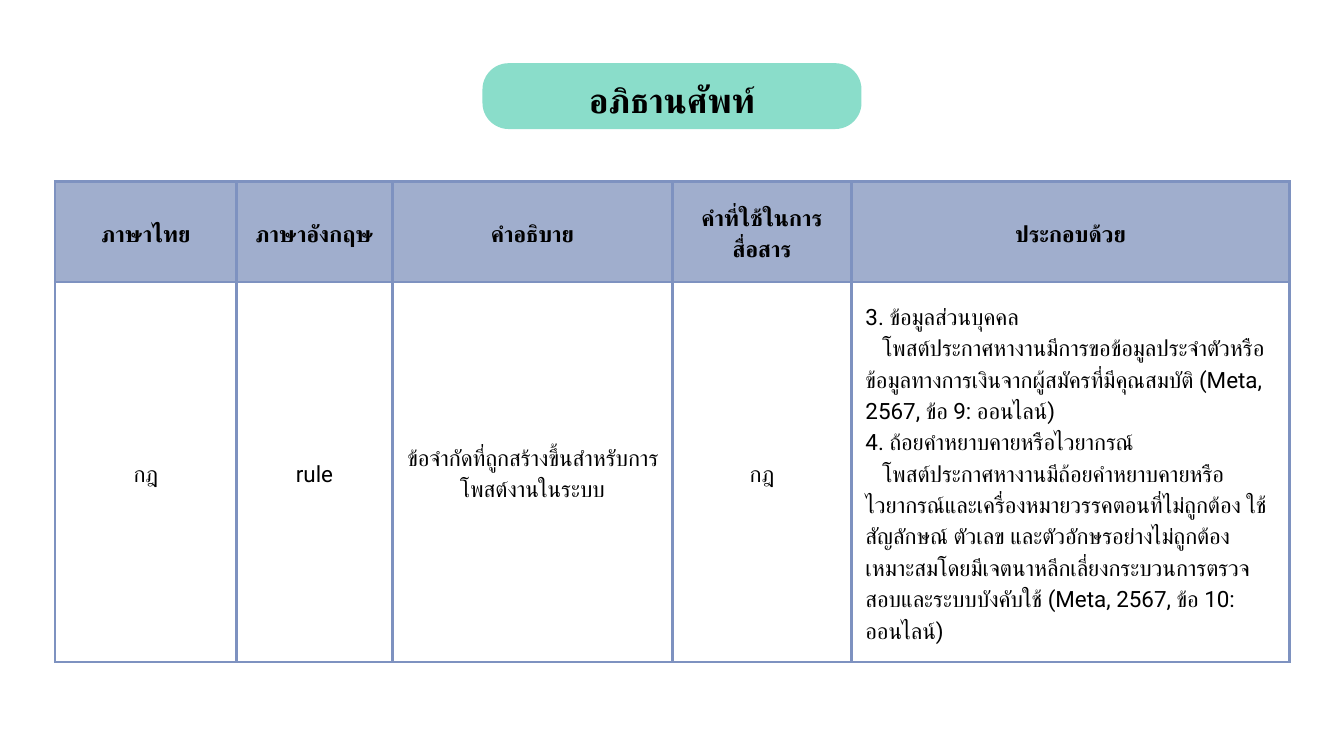
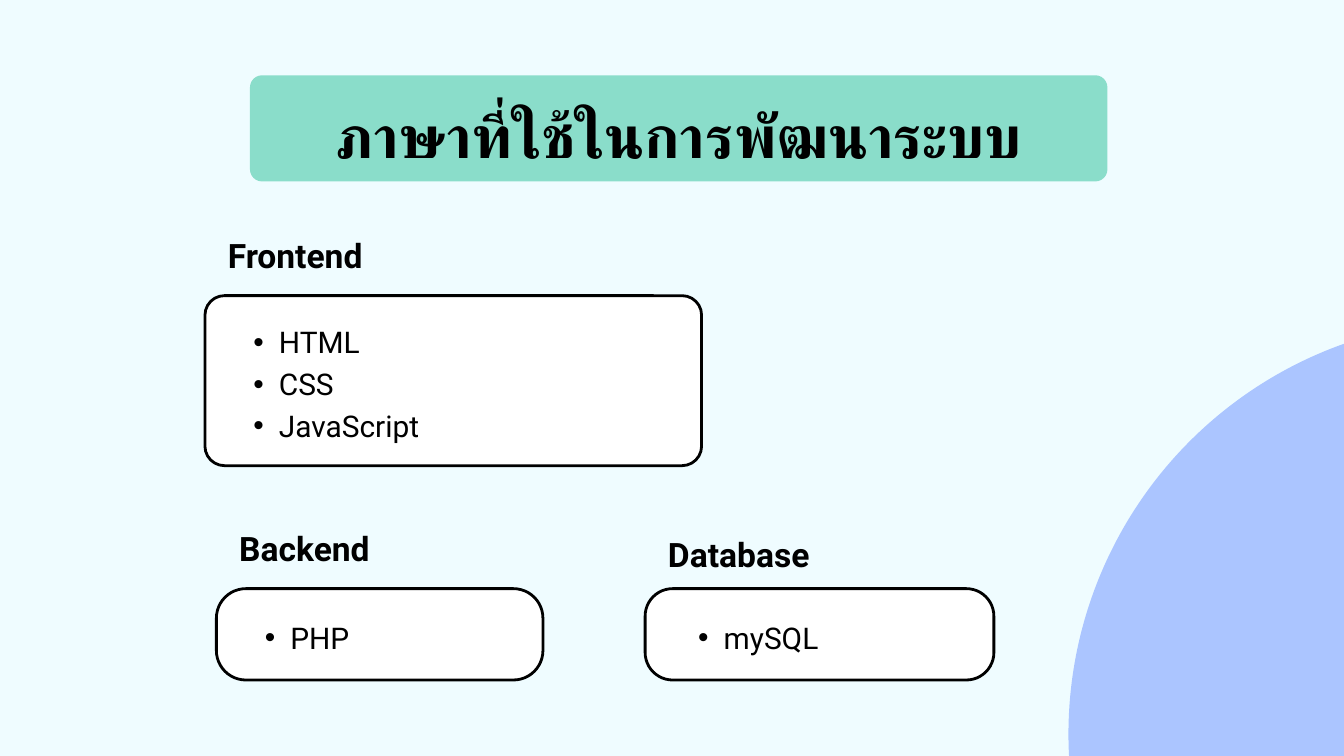
from dataclasses import dataclass

from lxml import etree
from pptx import Presentation
from pptx.dml.color import RGBColor
from pptx.enum.shapes import MSO_SHAPE
from pptx.enum.text import MSO_ANCHOR, PP_ALIGN
from pptx.oxml.ns import qn
from pptx.util import Inches, Pt

ROUNDED = MSO_SHAPE.ROUNDED_RECTANGLE
OVAL = MSO_SHAPE.OVAL
MIDDLE = MSO_ANCHOR.MIDDLE
LEFT, CENTER = PP_ALIGN.LEFT, PP_ALIGN.CENTER


@dataclass(frozen=True)
class TextStyle:
    size: float
    spacing: float
    bold: bool = False
    align: PP_ALIGN = LEFT


class Theme:
    font = "Roboto"
    ink = "000000"
    paper = "FFFFFF"
    pale_blue = "EFFCFF"
    band = "8ADDCA"
    header_fill = "A0AECD"
    grid = "7E92C0"
    circle = "ABC5FF"
    line_width = 3
    glossary_title = TextStyle(37, 51.7, True, CENTER)
    languages_title = TextStyle(64, 89.6, True, CENTER)
    table_header = TextStyle(24, 33.6, True, CENTER)
    table_body = TextStyle(24, 33.6, False, CENTER)
    table_detail = TextStyle(24, 33.6)
    panel_heading = TextStyle(36, 38.9, True)
    panel_item = TextStyle(32, 44.8)


@dataclass(frozen=True)
class Panel:
    heading: str
    items: tuple
    box: tuple
    radius: float
    heading_rise: float = 0.85
    list_inset: float = 0.34
    list_width: float = 3.87


HEADERS = ["ภาษาไทย", "ภาษาอังกฤษ", "คำอธิบาย", "คำที่ใช้ในการสื่อสาร", "ประกอบด้วย"]
TERM = ["กฎ", "rule", "ข้อจำกัดที่ถูกสร้างขึ้นสำหรับการโพสต์งานในระบบ", "กฎ"]
RULES = [
    ("3. ข้อมูลส่วนบุคคล",
     "โพสต์ประกาศหางานมีการขอข้อมูลประจำตัวหรือข้อมูลทางการเงินจากผู้สมัครที่มีคุณสมบัติ "
     "(Meta, 2567, ข้อ 9: ออนไลน์)"),
    ("4. ถ้อยคำหยาบคายหรือไวยากรณ์",
     "โพสต์ประกาศหางานมีถ้อยคำหยาบคายหรือไวยากรณ์และเครื่องหมายวรรคตอนที่ไม่ถูกต้อง "
     "ใช้สัญลักษณ์ ตัวเลข และตัวอักษรอย่างไม่ถูกต้องเหมาะสมโดยมีเจตนาหลีกเลี่ยงกระบวนการตรวจสอบและระบบบังคับใช้ "
     "(Meta, 2567, ข้อ 10: ออนไลน์)"),
]
COLUMN_WIDTHS = [2.7, 2.32, 4.17, 2.66, 6.52]
ROW_HEIGHTS = [1.5, 5.65]
CELL_MARGIN = 0.21

PANELS = [
    Panel("Frontend", ("HTML", "CSS", "JavaScript"), (3.05, 4.4, 7.39, 2.53), 0.29),
    Panel("Backend", ("PHP",), (3.22, 8.76, 4.86, 1.36), 0.44, list_width=6.05),
    Panel("Database", ("mySQL",), (9.6, 8.76, 5.19, 1.36), 0.41,
          heading_rise=0.76, list_inset=0.41),
]


def rgb(color):
    return RGBColor.from_string(color)


def inches(box):
    return [Inches(length) for length in box]


def style_paragraph(paragraph, style):
    paragraph.alignment = style.align
    paragraph.line_spacing = Pt(style.spacing)
    font = paragraph.font
    font.name = Theme.font
    font.size = Pt(style.size)
    font.bold = style.bold
    font.color.rgb = rgb(Theme.ink)
    # Thai letters take the complex-script typeface
    properties = paragraph._p.get_or_add_pPr().get_or_add_defRPr()
    etree.SubElement(properties, qn("a:cs"), typeface=Theme.font)


def indent_paragraph(paragraph, margin, first_line):
    properties = paragraph._p.get_or_add_pPr()
    properties.set("marL", str(Inches(margin)))
    properties.set("indent", str(Inches(first_line)))


def bullet_paragraph(paragraph):
    paragraph.level = 1
    indent_paragraph(paragraph, 0.76, -0.38)
    properties = paragraph._p.get_or_add_pPr()
    etree.SubElement(properties, qn("a:buFont"), typeface="Arial")
    etree.SubElement(properties, qn("a:buChar"), char="•")


def write_lines(frame, lines, style, bulleted=False):
    frame.text = "\n".join(lines)
    for paragraph in frame.paragraphs:
        if bulleted:
            bullet_paragraph(paragraph)
        style_paragraph(paragraph, style)


def add_text(slide, box, lines, style, bulleted=False):
    frame = slide.shapes.add_textbox(*inches(box)).text_frame
    frame.word_wrap = True
    frame.margin_left = frame.margin_top = frame.margin_right = frame.margin_bottom = 0
    write_lines(frame, lines, style, bulleted)


def add_filled_shape(slide, kind, box, fill, outline=None):
    shape = slide.shapes.add_shape(kind, *inches(box))
    shape.shadow.inherit = False
    shape.fill.solid()
    shape.fill.fore_color.rgb = rgb(fill)
    if outline:
        shape.line.color.rgb = rgb(outline)
        shape.line.width = Pt(Theme.line_width)
    else:
        shape.line.fill.background()
    return shape


def add_rounded_box(slide, box, radius, fill, outline=None):
    shape = add_filled_shape(slide, ROUNDED, box, fill, outline)
    shape.adjustments[0] = radius / min(box[2:])


def add_title(slide, box, radius, text, text_width, style):
    """Draw the band and centre one line of title on it."""
    left, top, width, height = box
    line_height = style.spacing / 72
    add_rounded_box(slide, box, radius, Theme.band)
    add_text(slide, (left + (width - text_width) / 2, top + (height - line_height) / 2,
                     text_width, line_height), [text], style)


def add_cell_borders(cell):
    properties = cell._tc.get_or_add_tcPr()
    for side in ("lnL", "lnR", "lnT", "lnB"):
        line = etree.SubElement(properties, qn(f"a:{side}"), w=str(Pt(Theme.line_width)))
        fill = etree.SubElement(line, qn("a:solidFill"))
        etree.SubElement(fill, qn("a:srgbClr"), val=Theme.grid)


def fill_cell(cell, lines, style, fill):
    add_cell_borders(cell)
    cell.fill.solid()
    cell.fill.fore_color.rgb = rgb(fill)
    cell.vertical_anchor = MIDDLE
    cell.margin_left = cell.margin_right = Inches(CELL_MARGIN)
    cell.margin_top = cell.margin_bottom = Inches(CELL_MARGIN)
    write_lines(cell.text_frame, lines, style)


def add_glossary_table(slide, left, top):
    box = (left, top, sum(COLUMN_WIDTHS), sum(ROW_HEIGHTS))
    table = slide.shapes.add_table(len(ROW_HEIGHTS), len(COLUMN_WIDTHS), *inches(box)).table
    table.horz_banding = False
    for column, width in zip(table.columns, COLUMN_WIDTHS):
        column.width = Inches(width)
    for row, height in zip(table.rows, ROW_HEIGHTS):
        row.height = Inches(height)
    for index, header in enumerate(HEADERS):
        fill_cell(table.cell(0, index), [header], Theme.table_header, Theme.header_fill)
    for index, text in enumerate(TERM):
        fill_cell(table.cell(1, index), [text], Theme.table_body, Theme.paper)
    detail = table.cell(1, len(TERM))
    fill_cell(detail, [line for rule in RULES for line in rule], Theme.table_detail, Theme.paper)
    for explanation in detail.text_frame.paragraphs[1::2]:
        indent_paragraph(explanation, 0, 0.25)


def add_panel(slide, panel):
    left, top, width, height = panel.box
    list_height = len(panel.items) * Theme.panel_item.spacing / 72
    add_rounded_box(slide, panel.box, panel.radius, Theme.paper, Theme.ink)
    add_text(slide, (left + panel.list_inset, top + (height - list_height) / 2,
                     panel.list_width, list_height), panel.items, Theme.panel_item, bulleted=True)
    add_text(slide, (left + 0.34, top - panel.heading_rise, 7.74, 0.54),
             [panel.heading], Theme.panel_heading)


def add_slide(presentation, background):
    slide = presentation.slides.add_slide(presentation.slide_layouts[6])
    slide.background.fill.solid()
    slide.background.fill.fore_color.rgb = rgb(background)
    return slide


def build_glossary(presentation):
    slide = add_slide(presentation, Theme.paper)
    add_title(slide, (7.18, 0.94, 5.64, 0.98), 0.39, "อภิธานศัพท์", 3, Theme.glossary_title)
    add_glossary_table(slide, 0.82, 2.7)


def build_languages(presentation):
    slide = add_slide(presentation, Theme.pale_blue)
    add_title(slide, (3.72, 1.12, 12.76, 1.58), 0.18, "ภาษาที่ใช้ในการพัฒนาระบบ",
              10.24, Theme.languages_title)
    add_filled_shape(slide, OVAL, (15.9, 4.76, 12.33, 12.33), Theme.circle)
    for panel in PANELS:
        add_panel(slide, panel)


def main():
    presentation = Presentation()
    presentation.slide_width = Inches(20)
    presentation.slide_height = Inches(11.25)
    build_glossary(presentation)
    build_languages(presentation)
    presentation.save("out.pptx")


if __name__ == "__main__":
    main()
